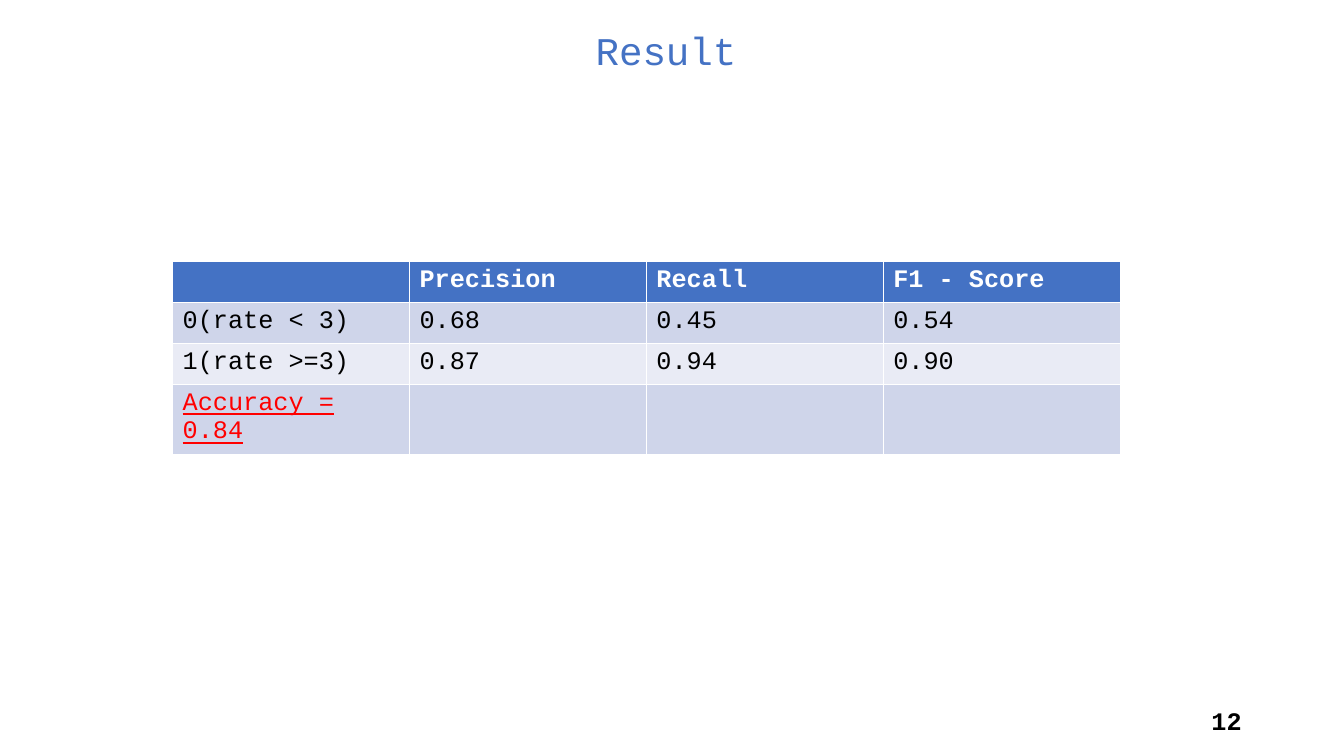
from pptx import Presentation
from pptx.dml.color import RGBColor
from pptx.enum.text import MSO_ANCHOR, MSO_AUTO_SIZE, PP_ALIGN
from pptx.util import Cm, Pt

BLUE = RGBColor(0x44, 0x72, 0xC4)
WHITE = RGBColor(0xFF, 0xFF, 0xFF)
BLACK = RGBColor(0, 0, 0)
RED = RGBColor(0xFF, 0, 0)
BAND_DARK = RGBColor(0xCF, 0xD5, 0xEA)
BAND_LIGHT = RGBColor(0xE9, 0xEB, 0xF5)
ROW_FILLS = [BLUE, BAND_DARK, BAND_LIGHT, BAND_DARK]

FONT = "Courier New"
LEFT, RIGHT = PP_ALIGN.LEFT, PP_ALIGN.RIGHT
MIDDLE = MSO_ANCHOR.MIDDLE
FIT_SHAPE = MSO_AUTO_SIZE.SHAPE_TO_FIT_TEXT

RESULTS = [
    ["", "Precision", "Recall", "F1 - Score"],
    ["0(rate < 3)", "0.68", "0.45", "0.54"],
    ["1(rate >=3)", "0.87", "0.94", "0.90"],
    ["Accuracy = 0.84", "", "", ""],
]


def write_text(text_frame, text, size, color, bold=False, align=LEFT):
    text_frame.text = text
    paragraph = text_frame.paragraphs[0]
    paragraph.alignment = align
    for run in paragraph.runs:
        run.font.name = FONT
        run.font.size = Pt(size)
        run.font.bold = bold
        run.font.color.rgb = color


def add_title(slide, left, top, width, height):
    text_frame = slide.shapes.add_textbox(left, top, width, height).text_frame
    write_text(text_frame, "Result", 28, BLUE)
    text_frame.word_wrap = False
    text_frame.auto_size = FIT_SHAPE


def add_page_number(slide, left, top, width, height):
    text_frame = slide.shapes.add_textbox(left, top, width, height).text_frame
    write_text(text_frame, "12", 18, BLACK, bold=True, align=RIGHT)
    text_frame.word_wrap = True
    text_frame.vertical_anchor = MIDDLE


def add_results_table(slide, left, top, width, height):
    table = slide.shapes.add_table(
        len(RESULTS), len(RESULTS[0]), left, top, width, height
    ).table
    for row_index, (values, fill) in enumerate(zip(RESULTS, ROW_FILLS)):
        header = row_index == 0
        for column_index, value in enumerate(values):
            cell = table.cell(row_index, column_index)
            cell.fill.solid()
            cell.fill.fore_color.rgb = fill
            write_text(cell.text_frame, value, 18, WHITE if header else BLACK, header)
    accuracy_cell = table.cell(len(RESULTS) - 1, 0)
    accuracy_font = accuracy_cell.text_frame.paragraphs[0].runs[0].font
    accuracy_font.color.rgb = RED
    accuracy_font.underline = True


def main():
    presentation = Presentation()
    presentation.slide_width = Cm(33.87)
    presentation.slide_height = Cm(19.05)
    slide = presentation.slides.add_slide(presentation.slide_layouts[6])
    add_page_number(slide, Cm(23.92), Cm(17.66), Cm(7.62), Cm(1.01))
    add_title(slide, Cm(14.76), Cm(0.53), Cm(4.34), Cm(1.45))
    add_results_table(slide, Cm(4.35), Cm(6.59), Cm(23.88), Cm(4.12))
    presentation.save("out.pptx")


if __name__ == "__main__":
    main()
